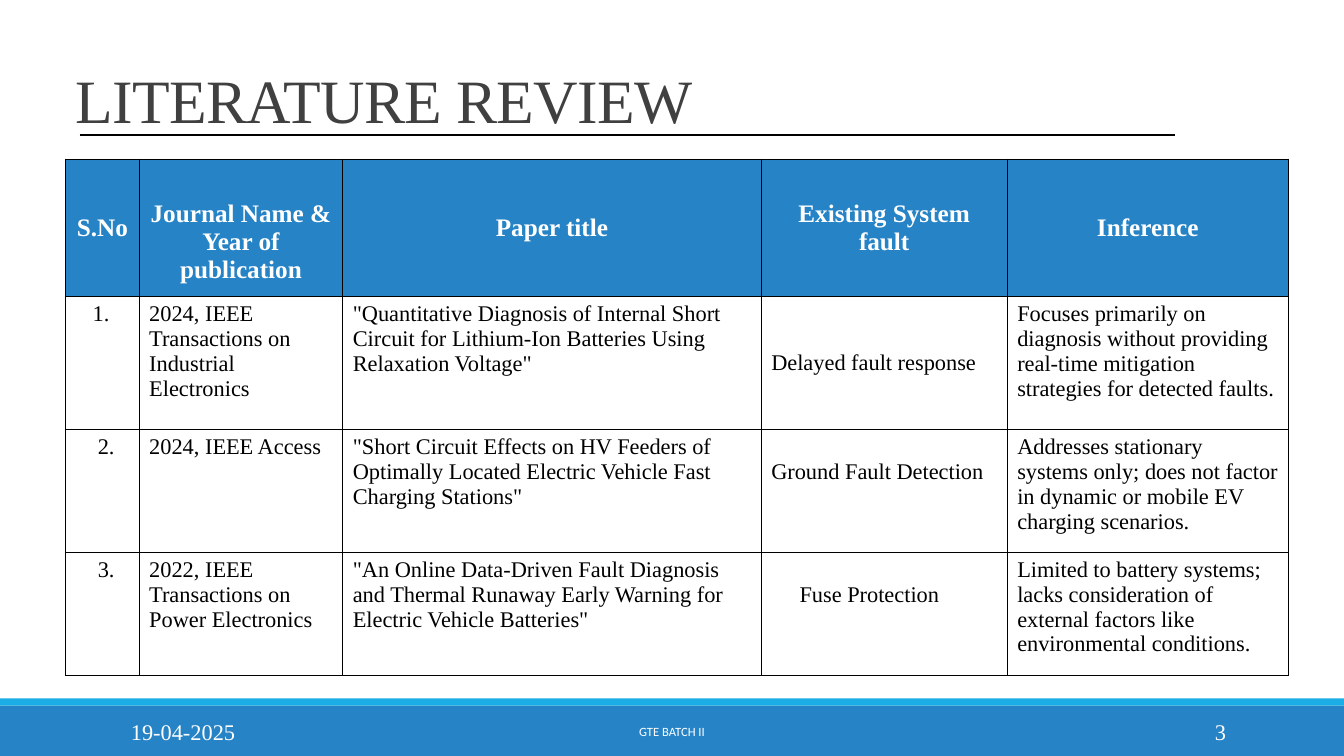
"""Build the literature review slide with its table and footer."""
from dataclasses import dataclass
from lxml.etree import SubElement
from pptx import Presentation
from pptx.dml.color import RGBColor as RGB
from pptx.enum.shapes import MSO_CONNECTOR as Conn, MSO_SHAPE as Shape
from pptx.enum.text import MSO_ANCHOR as Anchor, PP_ALIGN as Align
from pptx.oxml.ns import qn
from pptx.util import Inches, Pt


@dataclass(frozen=True)
class Theme:
    blue: str = "2683C6"
    cyan: str = "1CADE4"
    white: str = "FFFFFF"
    black: str = "000000"
    gray: str = "404040"
    serif: str = "Times New Roman"
    sans: str = "Calibri"
    title: int = 44
    head: int = 18
    body: int = 16
    small: int = 9


theme = Theme()


def write(frame, text, size, color, face=theme.serif, bold=False, align=Align.LEFT):
    for num, line in enumerate(text.split("\n")):
        para = frame.add_paragraph() if num else frame.paragraphs[0]
        para.alignment = align
        run = para.add_run()
        run.text = line
        font = run.font
        font.name, font.size, font.bold = face, Pt(size), bold
        font.color.rgb = RGB.from_string(color)


def edge(cell):
    props = cell._tc.get_or_add_tcPr()
    for side in ("lnL", "lnR", "lnT", "lnB"):
        line = SubElement(props, qn(f"a:{side}"), w=str(Pt(1)))
        fill = SubElement(line, qn("a:solidFill"))
        SubElement(fill, qn("a:srgbClr"), val=theme.black)


deck = Presentation()
deck.slide_width, deck.slide_height = Inches(13.33), Inches(7.5)
slide = deck.slides.add_slide(deck.slide_layouts[5])
shapes = slide.shapes

for top, high, color in ((7, 0.5, theme.blue), (6.93, 0.07, theme.cyan)):
    band = shapes.add_shape(Shape.RECTANGLE, 0, Inches(top), deck.slide_width, Inches(high))
    band.shadow.inherit = False
    band.fill.solid()
    band.fill.fore_color.rgb = RGB.from_string(color)
    band.line.fill.background()

title = shapes.title
title.left, title.top = Inches(0.65), Inches(-0.05)
title.width, title.height = Inches(11), Inches(1.45)
frame = title.text_frame
frame.word_wrap = True
frame.vertical_anchor = Anchor.BOTTOM
write(frame, "LITERATURE REVIEW", theme.title, theme.gray)
frame.paragraphs[0].line_spacing = 0.85
frame.paragraphs[0].runs[0].font._element.set("spc", "-50")

rows = (
    ("S.No", "Journal Name & Year of publication", "Paper title",
     "Existing System\nfault", "Inference"),
    ("1.", "2024, IEEE Transactions on Industrial Electronics",
     '"Quantitative Diagnosis of Internal Short Circuit for Lithium-Ion Batteries '
     'Using Relaxation Voltage"', "Delayed fault response",
     "Focuses primarily on diagnosis without providing real-time mitigation "
     "strategies for detected faults."),
    ("2.", "2024, IEEE Access",
     '"Short Circuit Effects on HV Feeders of Optimally Located Electric Vehicle '
     'Fast Charging Stations"', "Ground Fault Detection",
     "Addresses stationary systems only; does not factor in dynamic or mobile EV "
     "charging scenarios."),
    ("3.", "2022, IEEE Transactions on Power Electronics",
     '"An Online Data-Driven Fault Diagnosis and Thermal Runaway Early Warning '
     'for Electric Vehicle Batteries"', "Fuse Protection",
     "Limited to battery systems; lacks consideration of external factors like "
     "environmental conditions."),
)
widths = (0.73, 2.02, 4.15, 2.44, 2.79)
heights = (1.36, 1.32, 1.22, 1.22)
lefts = {(1, 0): 0.27, (2, 0): 0.32, (3, 0): 0.32, (3, 3): 0.38}
tops = {(0, 1): 0.33, (1, 3): 0.54, (2, 3): 0.3, (3, 3): 0.3}

table = shapes.add_table(len(rows), len(widths), Inches(0.65), Inches(1.58),
                         Inches(sum(widths)), Inches(sum(heights))).table
table.horz_banding = False
for col, wide in zip(table.columns, widths):
    col.width = Inches(wide)
for row, high in zip(table.rows, heights):
    row.height = Inches(high)

for r, texts in enumerate(rows):
    head = r == 0
    for c, text in enumerate(texts):
        cell = table.cell(r, c)
        edge(cell)
        cell.fill.solid()
        cell.fill.fore_color.rgb = RGB.from_string(theme.blue if head else theme.white)
        cell.vertical_anchor = Anchor.MIDDLE if head else Anchor.TOP
        cell.margin_left = Inches(lefts.get((r, c), 0.1))
        cell.margin_top = Inches(tops.get((r, c), 0.05))
        write(cell.text_frame, text, theme.head if head else theme.body,
              theme.white if head else theme.black, bold=head,
              align=Align.CENTER if head else Align.LEFT)

notes = (
    ("19-04-2025", 1.2, 2.7, theme.body, theme.serif, Align.LEFT),
    ("3", 10.83, 1.43, theme.body, theme.serif, Align.RIGHT),
    ("GTE BATCH II", 4.03, 5.27, theme.small, theme.sans, Align.CENTER),
)
for text, left, wide, size, face, align in notes:
    box = shapes.add_textbox(Inches(left), Inches(7.06), Inches(wide), Inches(0.4))
    frame = box.text_frame
    frame.word_wrap = True
    frame.vertical_anchor = Anchor.MIDDLE
    write(frame, text, size, theme.white, face, align=align)

rule = shapes.add_connector(Conn.STRAIGHT, Inches(0.79), Inches(1.34),
                            Inches(11.65), Inches(1.34))
rule.line.color.rgb = RGB.from_string(theme.black)
rule.line.width = Pt(1)
SubElement(rule._element.spPr, qn("a:effectLst"))

deck.save("out.pptx")
